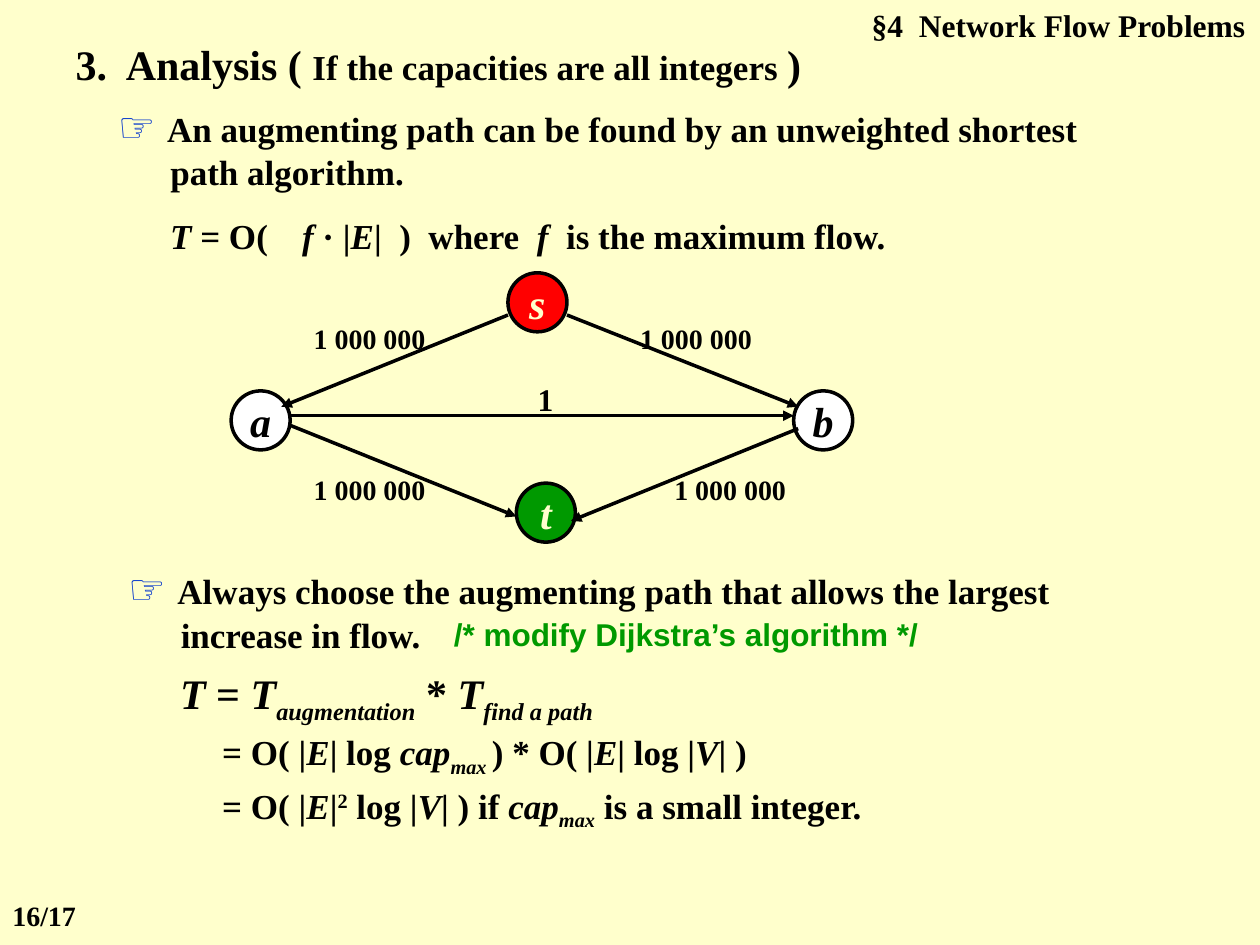
from pptx import Presentation
from pptx.dml.color import RGBColor
from pptx.enum.shapes import MSO_CONNECTOR, MSO_SHAPE
from pptx.enum.text import MSO_ANCHOR, MSO_AUTO_SIZE, PP_ALIGN
from pptx.oxml.ns import qn
from pptx.util import Cm, Pt
from lxml.etree import SubElement

SERIF, SANS = "Times New Roman", "Arial"
BLACK, WHITE, CREAM = "000000", "FFFFFF", "FFFFCC"
RED, GREEN, BLUE = "FF0000", "009900", "0033CC"
NODE_SIZE = 1.19
BASELINES = {"sub": "-25000", "super": "30000"}


def color(hex_value):
    return RGBColor.from_string(hex_value)


def place(box, left, top, width, height):
    box.left, box.top = Cm(left), Cm(top)
    box.width, box.height = Cm(width), Cm(height)


def add_span(para, text, size=20, font=SERIF, ink=BLACK, italic=False, base=None):
    span = para.add_run()
    span.text = text
    span.font.size = Pt(size)
    span.font.name = font
    span.font.bold = True
    span.font.italic = italic
    span.font.color.rgb = color(ink)
    if base:
        span.font._element.set("baseline", BASELINES[base])


def write(box, spans, align=PP_ALIGN.LEFT, **style):
    """Fill a box with one paragraph; a span is a text or (text, own style)."""
    frame = box.text_frame
    frame.word_wrap = True
    frame.auto_size = MSO_AUTO_SIZE.NONE
    frame.vertical_anchor = MSO_ANCHOR.TOP
    para = frame.paragraphs[0]
    para.alignment = align
    para.space_before = Pt(0)
    for span in spans:
        text, own = (span, {}) if isinstance(span, str) else span
        add_span(para, text, **{**style, **own})
    return para


def add_text(shapes, area, spans, align=PP_ALIGN.LEFT, **style):
    box = shapes.add_textbox(*map(Cm, area))
    return write(box, spans, align, **style)


def add_hand_item(box, left, top, text):
    """A list item with a pointing hand and a hanging indent."""
    place(box, left, top, 20.75, 2.12)
    para = write(box, [("☞ ", {"size": 24, "font": SANS, "ink": BLUE}), text])
    properties = para._p.get_or_add_pPr()
    properties.set("marL", str(Cm(1.06)))
    properties.set("indent", str(-Cm(1.06)))
    SubElement(properties, qn("a:buNone"))


def add_tab_stop(para, position):
    tabs = SubElement(para._p.get_or_add_pPr(), qn("a:tabLst"))
    SubElement(tabs, qn("a:tab"), pos=str(Cm(position)), algn="l")


def add_node(shapes, name, left, top, fill, ink):
    node = shapes.add_shape(MSO_SHAPE.OVAL, Cm(left), Cm(top), Cm(NODE_SIZE), Cm(NODE_SIZE))
    node.shadow.inherit = False
    node.fill.solid()
    node.fill.fore_color.rgb = color(fill)
    node.line.color.rgb = color(BLACK)
    node.line.width = Pt(2)
    write(node, [name], PP_ALIGN.CENTER, size=24, ink=ink, italic=True)
    node.text_frame.word_wrap = False
    node.text_frame.vertical_anchor = MSO_ANCHOR.MIDDLE


def add_arrow(shapes, *ends):
    arrow = shapes.add_connector(MSO_CONNECTOR.STRAIGHT, *map(Cm, ends))
    arrow.line.color.rgb = color(BLACK)
    arrow.line.width = Pt(2)
    SubElement(arrow.line._get_or_add_ln(), qn("a:tailEnd"), type="triangle")
    SubElement(arrow._element.spPr, qn("a:effectLst"))


def add_network(page):
    shapes = page.shapes.add_group_shape().shapes
    for node in [
        ("s", 10.24, 5.5, RED, CREAM),
        ("t", 10.41, 9.74, GREEN, CREAM),
        ("a", 4.66, 7.88, WHITE, BLACK),
        ("b", 16, 7.88, WHITE, BLACK),
    ]:
        add_node(shapes, *node)
    for ends in [
        (10.24, 6.35, 5.67, 8.2),    # s to a
        (11.43, 6.35, 16.09, 8.2),   # s to b
        (5.84, 8.57, 10.41, 10.41),  # a to t
        (16.09, 8.64, 11.51, 10.5),  # b to t
        (5.84, 8.38, 16, 8.38),      # a to b
    ]:
        add_arrow(shapes, *ends)
    # Capacities
    for left, top in [(6.01, 6.35), (12.59, 6.35), (6.01, 9.4), (13.28, 9.4)]:
        add_text(shapes, (left, top, 2.88, 0.93), ["1 000 000"], PP_ALIGN.CENTER, size=16)
    add_text(shapes, (10.24, 7.54, 1.52, 1.01), ["1"], PP_ALIGN.CENTER, size=18)


def main():
    deck = Presentation()
    deck.slide_width, deck.slide_height = Cm(25.4), Cm(19.05)
    page = deck.slides.add_slide(deck.slide_layouts[3])
    page.background.fill.solid()
    page.background.fill.fore_color.rgb = color(CREAM)
    title, first_item, second_item = page.placeholders

    slanted = {"italic": True}
    lowered = {"italic": True, "base": "sub"}
    edges, vertices = ("E", slanted), ("V", slanted)
    flow, time, capacity = ("f", slanted), ("T", slanted), ("cap", slanted)

    # Headings and page number
    add_text(page.shapes, (16.7, 0, 8.66, 1.01), ["§4  Network Flow Problems"],
             PP_ALIGN.RIGHT, size=18)
    place(title, 1.27, 0.64, 15.88, 1.27)
    write(title, ["3.  Analysis ( ", ("If the capacities are all integers ", {"size": 20}), ")"],
          size=24)
    add_text(page.shapes, (0, 17.99, 2.12, 0.93), ["16/17"], size=16)

    # Shortest augmenting path
    add_hand_item(first_item, 2.12, 1.9,
                  "An augmenting path can be found by an unweighted shortest path algorithm.")
    bound = add_text(page.shapes, (3.18, 4.19, 15.66, 1.11),
                     [time, " = O(\t", flow, " · |", edges, "|  )  where  ", flow,
                      "  is the maximum flow."])
    add_tab_stop(bound, 2.66)
    add_network(page)

    # Largest increase in flow
    add_hand_item(second_item, 2.33, 11.22,
                  "Always choose the augmenting path that allows the largest increase in flow.")
    add_text(page.shapes, (8.9, 12.28, 10.58, 1.01), ["/* modify Dijkstra’s algorithm */"],
             size=18, font=SANS, ink=GREEN)
    add_text(page.shapes, (3.38, 13.34, 10.8, 1.42),
             [time, " = ", time, ("augmentation", lowered), " * ", time,
              ("find a path", lowered)], size=24)
    add_text(page.shapes, (4.23, 14.61, 13.55, 1.21),
             ["= O( |", edges, "| log ", capacity, ("max ", lowered), ") * O( |", edges,
              "| log |", vertices, "| )"])
    add_text(page.shapes, (4.23, 15.68, 16.72, 1.21),
             ["= O( |", edges, "|", ("2", {"base": "super"}), " log |", vertices, "| ) if ",
              capacity, ("max", lowered), " is a small integer."])

    deck.save("out.pptx")


if __name__ == "__main__":
    main()
